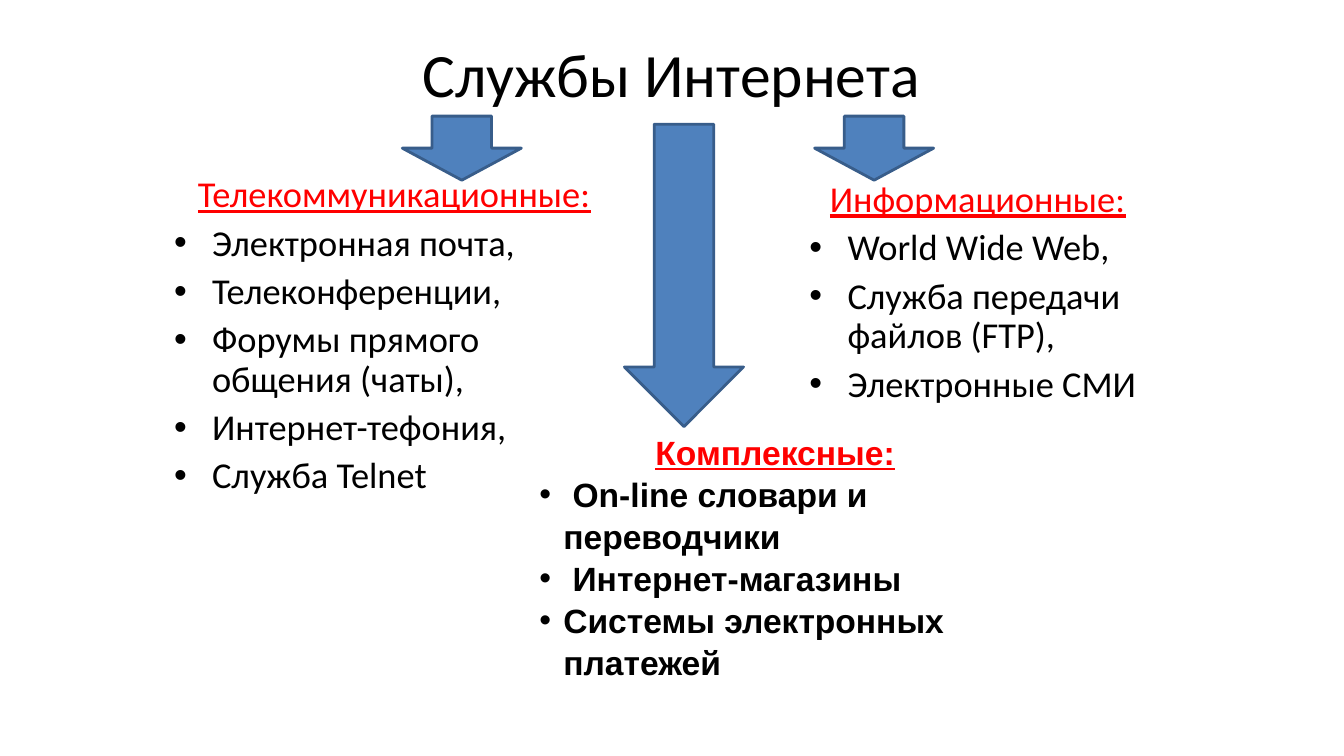
from lxml import etree
from pptx import Presentation
from pptx import util as u
from pptx.dml.color import RGBColor
from pptx.enum import shapes, text
from pptx.oxml.ns import qn

# Content: boxes are left, top, width, height in px
SLIDE = (1343, 755)
TITLE = ("Службы Интернета", (67, 30, 1208, 86))
SERVICES = [
    ("light", (164, 171, 460, 341), "Телекоммуникационные:",
     ["Электронная почта,", "Телеконференции,", "Форумы прямого общения (чаты),",
      "Интернет-тефония,", "Служба Telnet"]),
    ("light", (799, 176, 356, 265), "Информационные:",
     ["World Wide Web,", "Служба передачи файлов (FTP),", "Электронные СМИ"]),
    ("strong", (529, 425, 491, 292), "Комплексные:",
     [" On-line словари и переводчики", " Интернет-магазины",
      "Системы электронных платежей"]),
]
ARROW_WIDTH = 119
ARROWS = [(402, 116, 64), (814, 116, 64), (624, 124, 302)]  # left, top, height

THEME = {
    "text": RGBColor(0, 0, 0),
    "heading": RGBColor(0xFF, 0, 0),
    "arrow": RGBColor(0x4F, 0x81, 0xBD),
    "outline": RGBColor(0x38, 0x5D, 0x8A),
    "title": {"font": {"name": "Calibri", "size": u.Pt(44)}},
    "light": {"font": {"name": "Calibri", "size": u.Pt(26)}, "indent": 38,
              "para": {"line_spacing": 0.9}, "gap": u.Pt(6.5)},
    "strong": {"font": {"name": "Arial", "size": u.Pt(24), "bold": True}, "indent": 24,
               "para": {"line_spacing": 1.04}, "gap": u.Pt(0)},
}
EMU_PER_PX = 914400 / 100.7


def px(length):
    return u.Emu(round(length * EMU_PER_PX))


def apply(target, values):
    for name, value in values.items():
        setattr(target, name, value)


def add_box(page, area, anchor):
    frame = page.shapes.add_textbox(*map(px, area)).text_frame
    apply(frame, {"word_wrap": True, "vertical_anchor": anchor})
    return frame


def write(para, words, font, color):
    span = para.add_run()
    span.text = words
    apply(span.font, font)
    span.font.color.rgb = color


def add_bullet(para, indent):
    props = para._p.get_or_add_pPr()
    props.set("marL", str(px(indent)))
    props.set("indent", str(-px(indent)))
    etree.SubElement(props, qn("a:buFont"), typeface="Arial")
    etree.SubElement(props, qn("a:buChar"), char="•")


def add_service(page, style_name, area, heading, items):
    style = THEME[style_name]
    frame = add_box(page, area, text.MSO_ANCHOR.TOP)
    para = frame.paragraphs[0]
    apply(para, {**style["para"], "alignment": text.PP_ALIGN.CENTER})
    write(para, heading, {**style["font"], "underline": True}, THEME["heading"])
    for item in items:
        para = frame.add_paragraph()
        add_bullet(para, style["indent"])
        apply(para, {**style["para"], "space_before": style["gap"]})
        write(para, item, style["font"], THEME["text"])


def add_arrow(page, left, top, height):
    arrow = page.shapes.add_shape(
        shapes.MSO_SHAPE.DOWN_ARROW, *map(px, (left, top, ARROW_WIDTH, height)))
    arrow.shadow.inherit = False
    arrow.fill.solid()
    arrow.fill.fore_color.rgb = THEME["arrow"]
    arrow.line.color.rgb = THEME["outline"]
    arrow.line.width = u.Pt(2)


def main():
    deck = Presentation()
    apply(deck, {"slide_width": px(SLIDE[0]), "slide_height": px(SLIDE[1])})
    page = deck.slides.add_slide(deck.slide_layouts[6])

    # Title
    words, area = TITLE
    para = add_box(page, area, text.MSO_ANCHOR.MIDDLE).paragraphs[0]
    para.alignment = text.PP_ALIGN.CENTER
    write(para, words, THEME["title"]["font"], THEME["text"])

    # Service groups
    for service in SERVICES:
        add_service(page, *service)

    # Arrows from the title to each group
    for arrow in ARROWS:
        add_arrow(page, *arrow)

    deck.save("out.pptx")


if __name__ == "__main__":
    main()
